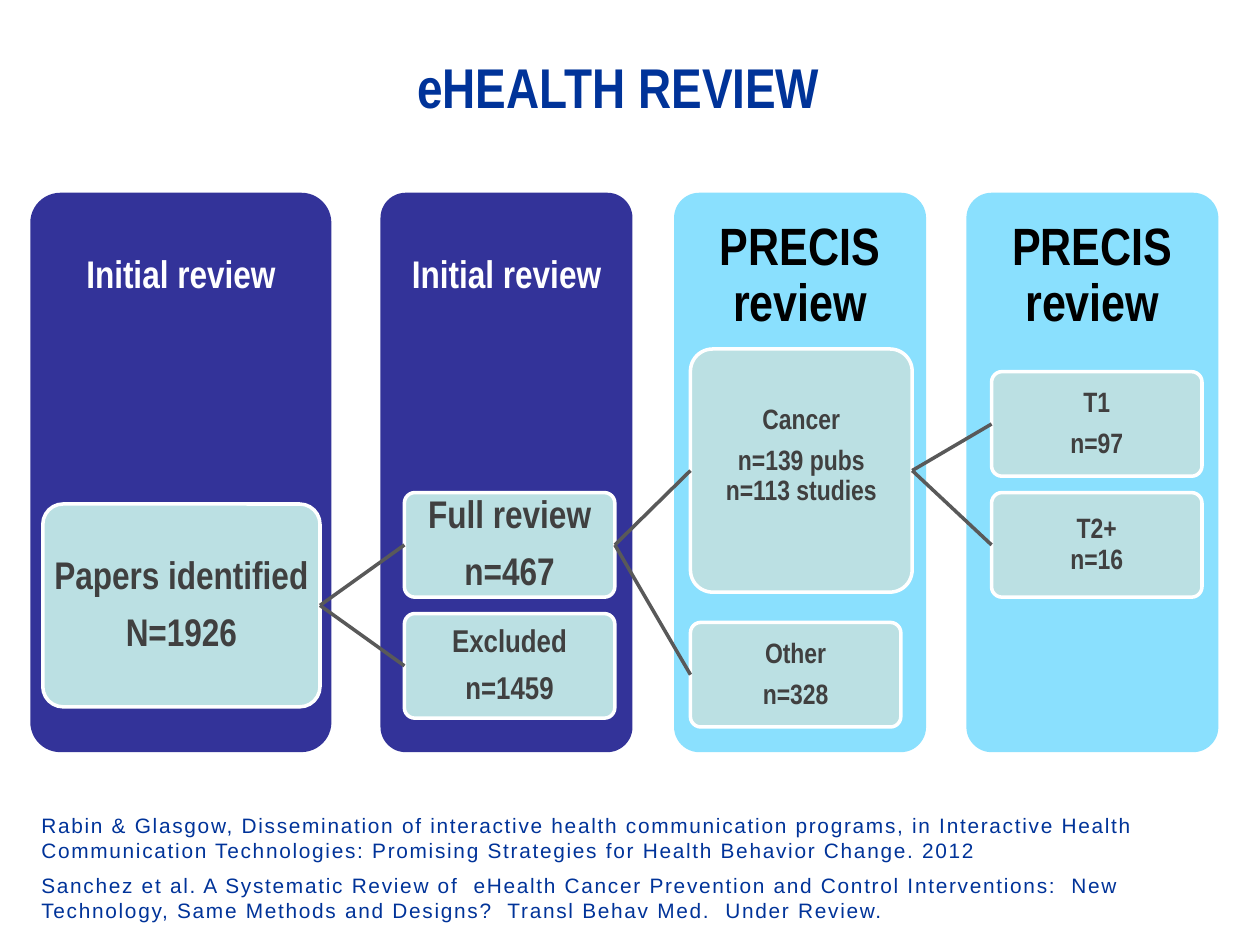
from dataclasses import dataclass

from lxml.etree import SubElement
from pptx import Presentation
from pptx.dml.color import RGBColor
from pptx.enum.shapes import MSO_CONNECTOR, MSO_SHAPE
from pptx.enum.text import MSO_ANCHOR, PP_ALIGN
from pptx.oxml.ns import qn
from pptx.util import Inches, Pt

COLORS = {
    "navy": "333399", "sky": "8AE0FE", "teal": "BBE0E3", "white": "FFFFFF",
    "black": "000000", "gray": "404040", "link": "595959", "blue": "003399",
}
PANEL_TOP, PANEL_HEIGHT, HEADER_HEIGHT = 1.53, 4.44, 1.33
LEFT_SITE, RIGHT_SITE = 1, 3
SPACE_AFTER_RATIO = 0.4


@dataclass
class Panel:
    heading: str
    left: float
    width: float
    fill: str
    color: str
    size: float
    inset: float


@dataclass
class Node:
    text: str
    left: float
    top: float
    parent: str = ""
    width: float = 1.67
    height: float = 0.83
    size: float = 16
    bottom_inset: float = 0.02


PANELS = [
    Panel("Initial review", 0.24, 2.39, "navy", "white", 22, 0.17),
    Panel("Initial review", 3.02, 2, "navy", "white", 22, 0.17),
    Panel("PRECIS review", 5.35, 2, "sky", "black", 30, 0.23),
    Panel("PRECIS review", 7.67, 2, "sky", "black", 30, 0.23),
]

# A line feed starts a paragraph, a vertical tab breaks a line
NODES = {
    "papers": Node("Papers identified\nN=1926", 0.34, 4, width=2.2, height=1.61, size=22),
    "full": Node("Full review\nn=467", 3.21, 3.91, "papers", size=22),
    "excluded": Node("Excluded\nn=1459", 3.21, 4.87, "papers", size=18),
    "cancer": Node("Cancer\nn=139 pubs\vn=113 studies", 5.48, 2.77, "full",
                   width=1.76, height=1.93, bottom_inset=0.25),
    "other": Node("Other\nn=328", 5.48, 4.94, "full"),
    "t1": Node("T1\nn=97", 7.87, 2.95, "cancer"),
    "t2": Node("T2+\vn=16", 7.87, 3.91, "cancer"),
}

REFERENCES = [
    "Rabin & Glasgow, Dissemination of interactive health communication programs, "
    "in Interactive Health Communication Technologies: Promising Strategies for "
    "Health Behavior Change. 2012",
    "Sanchez et al. A Systematic Review of  eHealth Cancer Prevention and Control "
    "Interventions:  New Technology, Same Methods and Designs?  Transl Behav Med.  "
    "Under Review.",
]


def rgb(name: str) -> RGBColor:
    return RGBColor.from_string(COLORS[name])


def set_attributes(target, values: dict) -> None:
    for name, value in values.items():
        setattr(target, name, value)


def format_text(frame, color: str, font_format: dict, paragraph_format: dict) -> None:
    for paragraph in frame.paragraphs:
        set_attributes(paragraph, paragraph_format)
        for font in [paragraph.font, *(run.font for run in paragraph.runs)]:
            set_attributes(font, font_format)
            font.color.rgb = rgb(color)


def write_label(frame, text: str, size: float, color: str, inset: float,
                bottom_inset: float) -> None:
    frame.text = text
    set_attributes(frame, {
        "word_wrap": True, "vertical_anchor": MSO_ANCHOR.MIDDLE,
        "margin_left": Inches(inset), "margin_right": Inches(inset),
        "margin_top": Inches(inset), "margin_bottom": Inches(bottom_inset),
    })
    format_text(
        frame, color,
        {"name": "Arial Narrow", "size": Pt(size), "bold": True},
        {"alignment": PP_ALIGN.CENTER, "line_spacing": 0.9,
         "space_after": Pt(size * SPACE_AFTER_RATIO)},
    )


def add_round_box(slide, left: float, top: float, width: float, height: float, fill: str):
    shape = slide.shapes.add_shape(
        MSO_SHAPE.ROUNDED_RECTANGLE, Inches(left), Inches(top), Inches(width), Inches(height))
    shape.adjustments[0] = 0.1
    shape.shadow.inherit = False
    shape.fill.solid()
    shape.fill.fore_color.rgb = rgb(fill)
    shape.line.fill.background()
    return shape


def draw_panel(slide, panel: Panel) -> None:
    add_round_box(slide, panel.left, PANEL_TOP, panel.width, PANEL_HEIGHT, panel.fill)
    header = slide.shapes.add_textbox(
        Inches(panel.left), Inches(PANEL_TOP), Inches(panel.width), Inches(HEADER_HEIGHT))
    write_label(header.text_frame, panel.heading, panel.size, panel.color,
                panel.inset, panel.inset)


def draw_node(slide, node: Node):
    shape = add_round_box(slide, node.left, node.top, node.width, node.height, "teal")
    shape.line.color.rgb = rgb("white")
    shape.line.width = Pt(2)
    write_label(shape.text_frame, node.text, node.size, "gray", 0.02, node.bottom_inset)
    return shape


def draw_link(slide, parent, child) -> None:
    connector = slide.shapes.add_connector(MSO_CONNECTOR.STRAIGHT, 0, 0, 0, 0)
    connector.begin_connect(parent, RIGHT_SITE)
    connector.end_connect(child, LEFT_SITE)
    connector.line.color.rgb = rgb("link")
    connector.line.width = Pt(2)
    SubElement(connector._element.spPr, qn("a:effectLst"))


def draw_title(slide) -> None:
    title = slide.shapes.title
    set_attributes(title, {"left": Inches(0.91), "top": Inches(0.24),
                           "width": Inches(8), "height": Inches(0.89)})
    title.text_frame.text = "eHEALTH REVIEW"
    title.text_frame.vertical_anchor = MSO_ANCHOR.MIDDLE
    format_text(title.text_frame, "blue",
                {"name": "Arial Narrow", "size": Pt(32), "bold": True},
                {"alignment": PP_ALIGN.CENTER})


def draw_references(slide) -> None:
    box = slide.shapes.add_textbox(Inches(0.23), Inches(6.4), Inches(9.46), Inches(0.87))
    frame = box.text_frame
    frame.word_wrap = True
    frame.text = "\n".join(REFERENCES)
    format_text(frame, "blue", {"name": "Arial", "size": Pt(11.9)}, {})
    frame.paragraphs[1].space_before = Pt(5.8)
    # Letter spacing of one point
    for paragraph in frame.paragraphs:
        for run in paragraph.runs:
            run._r.get_or_add_rPr().set("spc", "100")


def main() -> None:
    presentation = Presentation()
    presentation.slide_width, presentation.slide_height = Inches(10), Inches(7.5)
    slide = presentation.slides.add_slide(presentation.slide_layouts[5])

    draw_title(slide)
    # Review stages
    for panel in PANELS:
        draw_panel(slide, panel)
    # Paper counts, each linked to the group it comes from
    shapes = {}
    for key, node in NODES.items():
        shapes[key] = draw_node(slide, node)
        if node.parent:
            draw_link(slide, shapes[node.parent], shapes[key])
    draw_references(slide)

    presentation.save("out.pptx")


if __name__ == "__main__":
    main()
